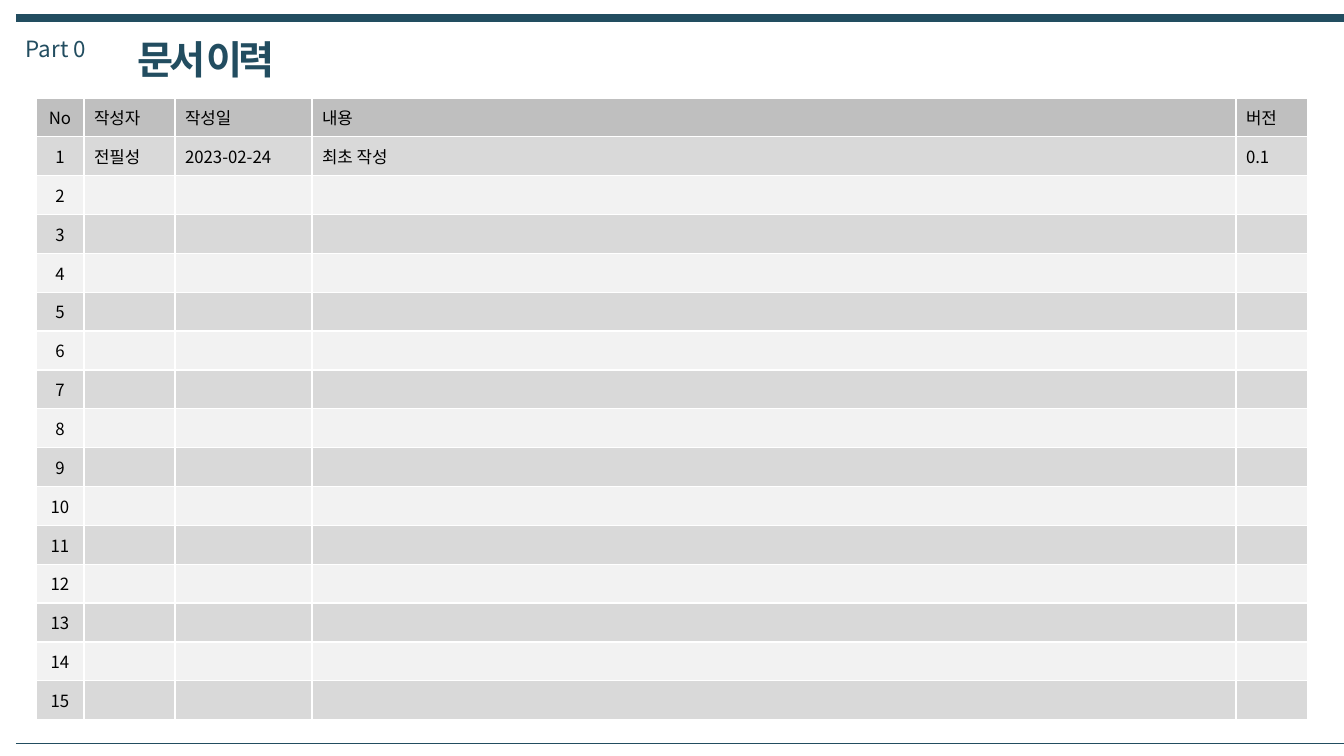
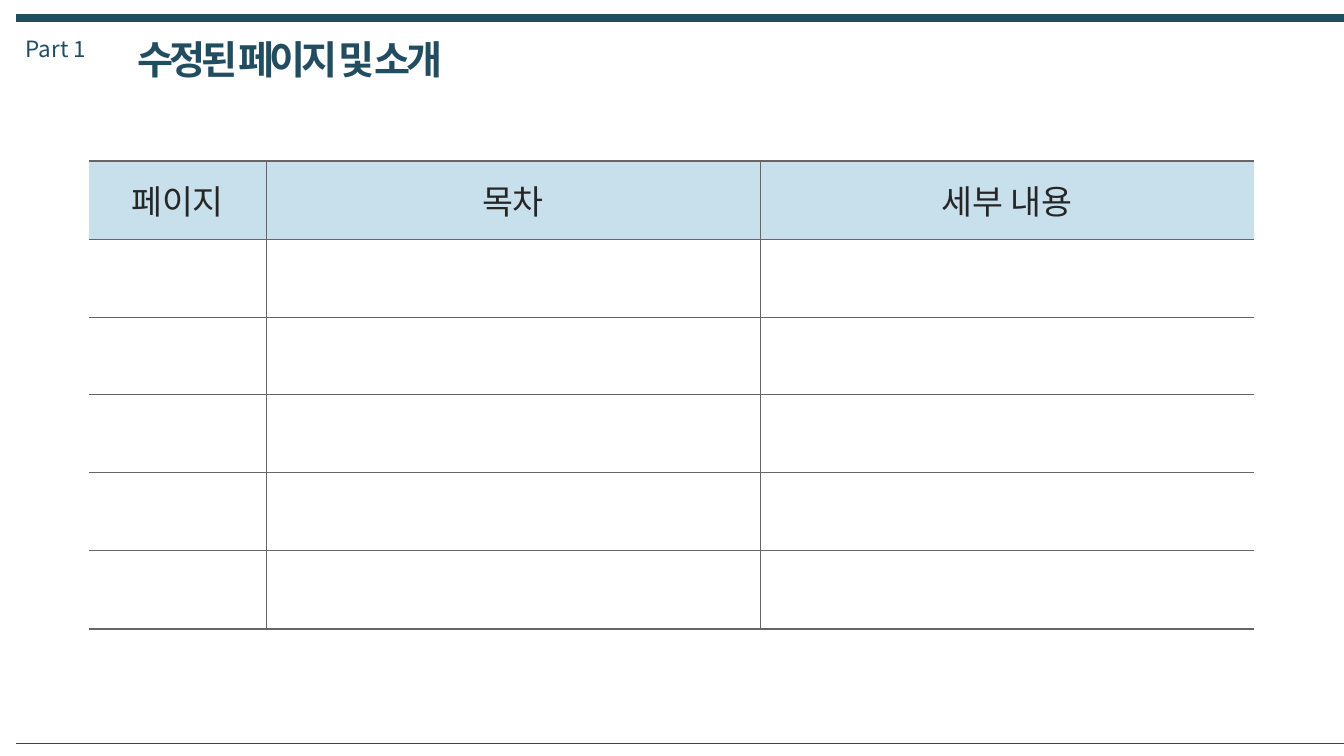
from lxml.etree import SubElement
from pptx import Presentation
from pptx.dml.color import RGBColor
from pptx.enum.shapes import MSO_CONNECTOR
from pptx.enum.text import MSO_ANCHOR, PP_ALIGN
from pptx.oxml.ns import qn
from pptx.util import Emu, Pt

FONT = "Noto Sans CJK KR"
NAVY = RGBColor(0x22, 0x4D, 0x60)
BLACK = RGBColor(0, 0, 0)
INK = RGBColor(0x26, 0x26, 0x26)
WHITE = RGBColor(0xFF, 0xFF, 0xFF)
SILVER = RGBColor(0xBF, 0xBF, 0xBF)
GREY = RGBColor(0xD9, 0xD9, 0xD9)
PALE = RGBColor(0xF2, 0xF2, 0xF2)
SKY = RGBColor(0xC7, 0xE0, 0xEB)
RULE = RGBColor(0x66, 0x66, 0x66)

WIDE, HIGH = 1344, 756
EMU_PER_PX = 12192000 / WIDE

HISTORY = {
    "part": "Part 0", "title": "문서 이력",
    "rows": [("No", "작성자", "작성일", "내용", "버전"),
             ("1", "전필성", "2023-02-24", "최초 작성", "0.1")]
            + [(str(n), "", "", "", "") for n in range(2, 16)],
    "left": 36, "top": 98, "height": 622,
    "widths": (48, 91, 137, 924, 72),
    "size": 12, "ink": BLACK, "head": SILVER, "bands": (GREY, PALE),
    "centred": (0,), "rule": WHITE, "thin": 1, "thick": 1, "sides": True,
}
CHANGES = {
    "part": "Part 1", "title": "수정된 페이지 및 소개",
    "rows": [("페이지", "목차", "세부 내용")] + [("", "", "")] * 5,
    "left": 89, "top": 161, "height": 468,
    "widths": (177, 494, 494),
    "size": 24, "ink": INK, "head": SKY, "bands": (WHITE,),
    "centred": (0, 1, 2), "rule": RULE, "thin": 0.75, "thick": 2.25,
    "sides": False,
}


def px(count):
    return Emu(round(count * EMU_PER_PX))


def style(run, size, color, bold=False):
    run.font.name, run.font.size, run.font.bold = FONT, Pt(size), bold
    run.font.color.rgb = color
    SubElement(run.font._element, qn("a:ea"), typeface=FONT)


def add_rule(slide, y, weight):
    line = slide.shapes.add_connector(
        MSO_CONNECTOR.STRAIGHT, px(16), px(y), px(WIDE), px(y))
    line.line.color.rgb, line.line.width = NAVY, Pt(weight)
    SubElement(line._element.spPr, qn("a:effectLst"))


def add_label(slide, text, left, width, height, size, bold=False):
    box = slide.shapes.add_textbox(px(left), px(30), px(width), px(height))
    box.text_frame.word_wrap = True
    box.text_frame.text = text
    run = box.text_frame.paragraphs[0].runs[0]
    style(run, size, NAVY, bold)
    return run


def add_frame(slide, part, title):
    """Draw the band, part number, title and foot line of every slide."""
    add_rule(slide, 18, 6)
    add_label(slide, part, 16, 110, 37, 16)
    run = add_label(slide, title, 128, 900, 57, 28, True)
    run.font._element.set("spc", "-300")
    add_rule(slide, 743, 0.25)


def set_border(cell, side, weight, color):
    """Rule one side of a cell; a weight of 0 leaves it open."""
    edge = SubElement(cell._tc.get_or_add_tcPr(), qn("a:ln" + side),
                      w=str(Pt(weight)))
    if weight:
        fill = SubElement(edge, qn("a:solidFill"))
        SubElement(fill, qn("a:srgbClr"), val=str(color))
    else:
        SubElement(edge, qn("a:noFill"))


def fill_cell(cell, text, color, data, centred):
    cell.fill.solid()
    cell.fill.fore_color.rgb = color
    cell.vertical_anchor = MSO_ANCHOR.MIDDLE
    para = cell.text_frame.paragraphs[0]
    para.alignment = PP_ALIGN.CENTER if centred else PP_ALIGN.LEFT
    if text:
        para.text = text
        style(para.runs[0], data["size"], data["ink"])
    else:
        SubElement(para._p, qn("a:endParaRPr"), sz=str(data["size"] * 100))


def add_grid(slide, data):
    rows, widths = data["rows"], data["widths"]
    last_row, last_col = len(rows) - 1, len(widths) - 1
    table = slide.shapes.add_table(
        len(rows), len(widths), px(data["left"]), px(data["top"]),
        px(sum(widths)), px(data["height"])).table
    table.horz_banding = table.first_row = False
    for column, width in zip(table.columns, widths):
        column.width = px(width)
    thin, thick = data["thin"], data["thick"]
    side = thin if data["sides"] else 0
    for r, row in enumerate(rows):
        table.rows[r].height = px(data["height"] / len(rows))
        bands = data["bands"]
        color = bands[(r - 1) % len(bands)] if r else data["head"]
        for c, text in enumerate(row):
            cell = table.cell(r, c)
            edges = {"L": thin if c else side,
                     "R": thin if c < last_col else side,
                     "T": thin if r else thick,
                     "B": thin if r < last_row else thick}
            for name, weight in edges.items():
                set_border(cell, name, weight, data["rule"])
            fill_cell(cell, text, color, data, c in data["centred"])


def main():
    deck = Presentation()
    deck.slide_width, deck.slide_height = px(WIDE), px(HIGH)
    for data in (HISTORY, CHANGES):
        slide = deck.slides.add_slide(deck.slide_layouts[6])
        add_frame(slide, data["part"], data["title"])
        add_grid(slide, data)
    deck.save("out.pptx")


if __name__ == "__main__":
    main()
